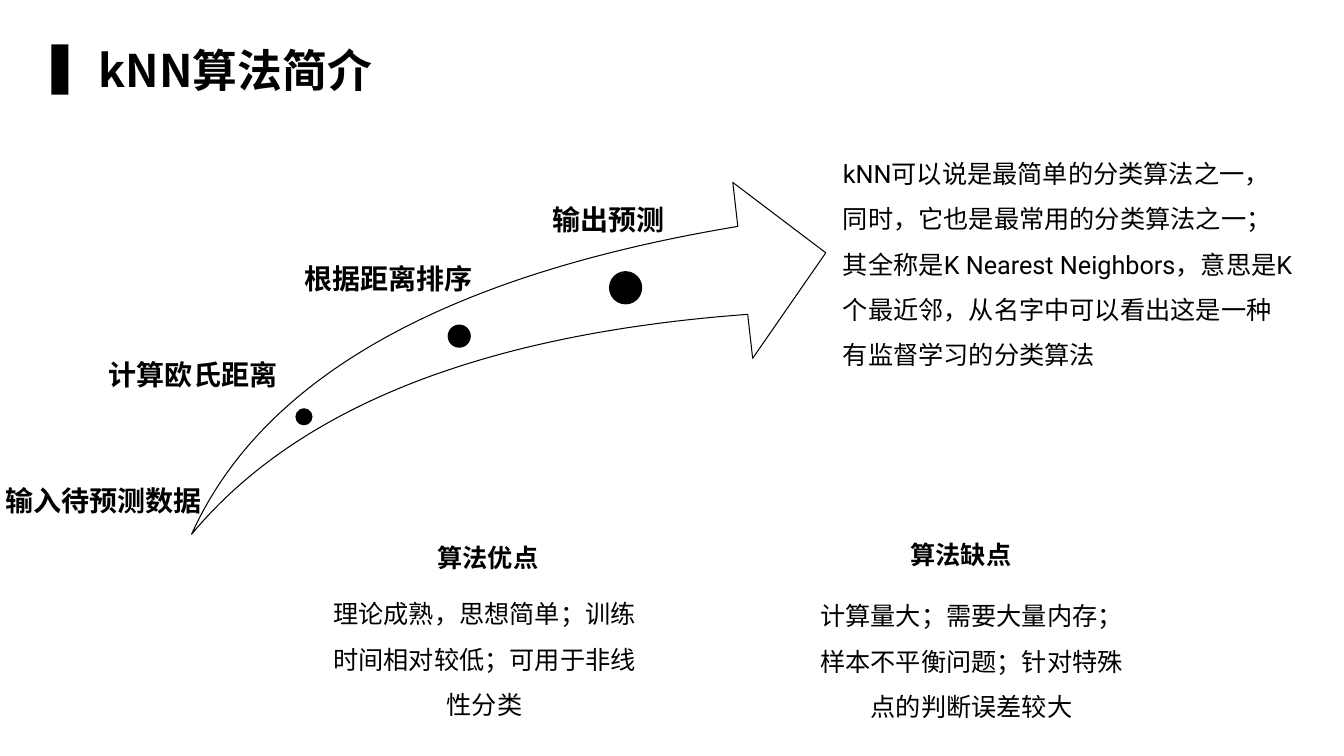
from dataclasses import dataclass

from lxml.etree import SubElement
from pptx import Presentation
from pptx.dml.color import RGBColor
from pptx.enum.shapes import MSO_SHAPE as SHAPE
from pptx.enum.text import MSO_AUTO_SIZE as AUTO, PP_ALIGN as ALIGN
from pptx.oxml.ns import qn
from pptx.util import Emu, Pt

PX = 9144


@dataclass(frozen=True)
class Theme:
    ink: RGBColor = RGBColor(0, 0, 0)
    paper: RGBColor = RGBColor(255, 255, 255)
    font: str = "Noto Sans CJK SC"
    latin: str = "Roboto"
    title: int = 32
    label: int = 20
    body: int = 18
    outline: float = 0.75


T = Theme()
BODY_INSETS = (7, 3, 7, 3)


def px(*lengths):
    return [Emu(n * PX) for n in lengths]


def add_text(s, box, text, size=T.body, font=T.font, bold=False, align=ALIGN.LEFT,
             spacing=None, insets=(10, 5, 10, 5), wrap=True):
    tf = s.shapes.add_textbox(*px(*box)).text_frame
    tf.word_wrap = wrap
    tf.auto_size = AUTO.SHAPE_TO_FIT_TEXT
    tf.margin_left, tf.margin_top, tf.margin_right, tf.margin_bottom = px(*insets)
    p = tf.paragraphs[0]
    p.alignment = align
    if spacing:
        p.line_spacing = spacing
    r = p.add_run()
    r.text = text
    r.font.size = Pt(size)
    r.font.bold = bold
    r.font.color.rgb = T.ink
    r.font.name = font
    SubElement(r.font._element, qn("a:ea")).set("typeface", T.font)


def add_solid(s, kind, box, fill=T.ink, line=None):
    sp = s.shapes.add_shape(kind, *px(*box))
    sp.shadow.inherit = False
    sp.fill.solid()
    sp.fill.fore_color.rgb = fill
    if line is None:
        sp.line.fill.background()
    else:
        sp.line.color.rgb = line
        sp.line.width = Pt(T.outline)
    return sp


def add_title(s, box, text):
    x, y, w, h = box
    add_solid(s, SHAPE.RECTANGLE, (x, y + 7, 17, 50))
    add_text(s, (x + 37, y, w - 37, h), text, size=T.title, bold=True)


def add_process(s, box, dots, labels):
    x, y, w, h = box
    arrow = add_solid(s, SHAPE.SWOOSH_ARROW, (x + 185, y, w - 185, h), T.paper, T.ink)
    arrow.adjustments[0] = arrow.adjustments[1] = 0.25
    for dx, dy, size in dots:
        add_solid(s, SHAPE.OVAL, (x + dx, y + dy, size, size))
    for dx, dy, text in labels:
        add_text(s, (x + dx, y + dy, 28 * len(text), 38), text, size=T.label, bold=True,
                 align=ALIGN.JUSTIFY, spacing=1.2, insets=(0, 0, 0, 0), wrap=False)


def add_intro(s, box, text):
    add_text(s, box, text, font=T.latin, spacing=1.5, insets=BODY_INSETS)


def add_verdict(s, box, heading, body, heading_dx, body_dy):
    x, y, w, h = box
    add_text(s, (x + heading_dx, y, 206, 40), heading, bold=True, align=ALIGN.CENTER)
    add_text(s, (x, y + body_dy, w, h - body_dy), body, align=ALIGN.CENTER,
             spacing=1.5, insets=BODY_INSETS)


def main():
    prs = Presentation()
    prs.slide_width, prs.slide_height = px(1333, 750)
    s = prs.slides.add_slide(prs.slide_layouts[6])
    add_process(
        s, (5, 181, 814, 349),
        dots=[(288, 224, 17), (439, 141, 23), (599, 88, 33)],
        labels=[(0, 292, "输入待预测数据"), (103, 167, "计算欧氏距离"),
                (297, 72, "根据距离排序"), (543, 13, "输出预测")])
    add_intro(s, (829, 139, 461, 229),
              "kNN可以说是最简单的分类算法之一，同时，它也是最常用的分类算法之一；"
              "其全称是K Nearest Neighbors，意思是K个最近邻，"
              "从名字中可以看出这是一种有监督学习的分类算法")
    add_verdict(s, (320, 533, 321, 181), "算法优点",
                "理论成熟，思想简单；训练时间相对较低；可用于非线性分类", 61, 43)
    add_verdict(s, (803, 530, 321, 186), "算法缺点",
                "计算量大；需要大量内存；样本不平衡问题；针对特殊点的判断误差较大", 47, 48)
    add_title(s, (51, 37, 369, 64), "kNN算法简介")
    prs.save("out.pptx")


if __name__ == "__main__":
    main()
